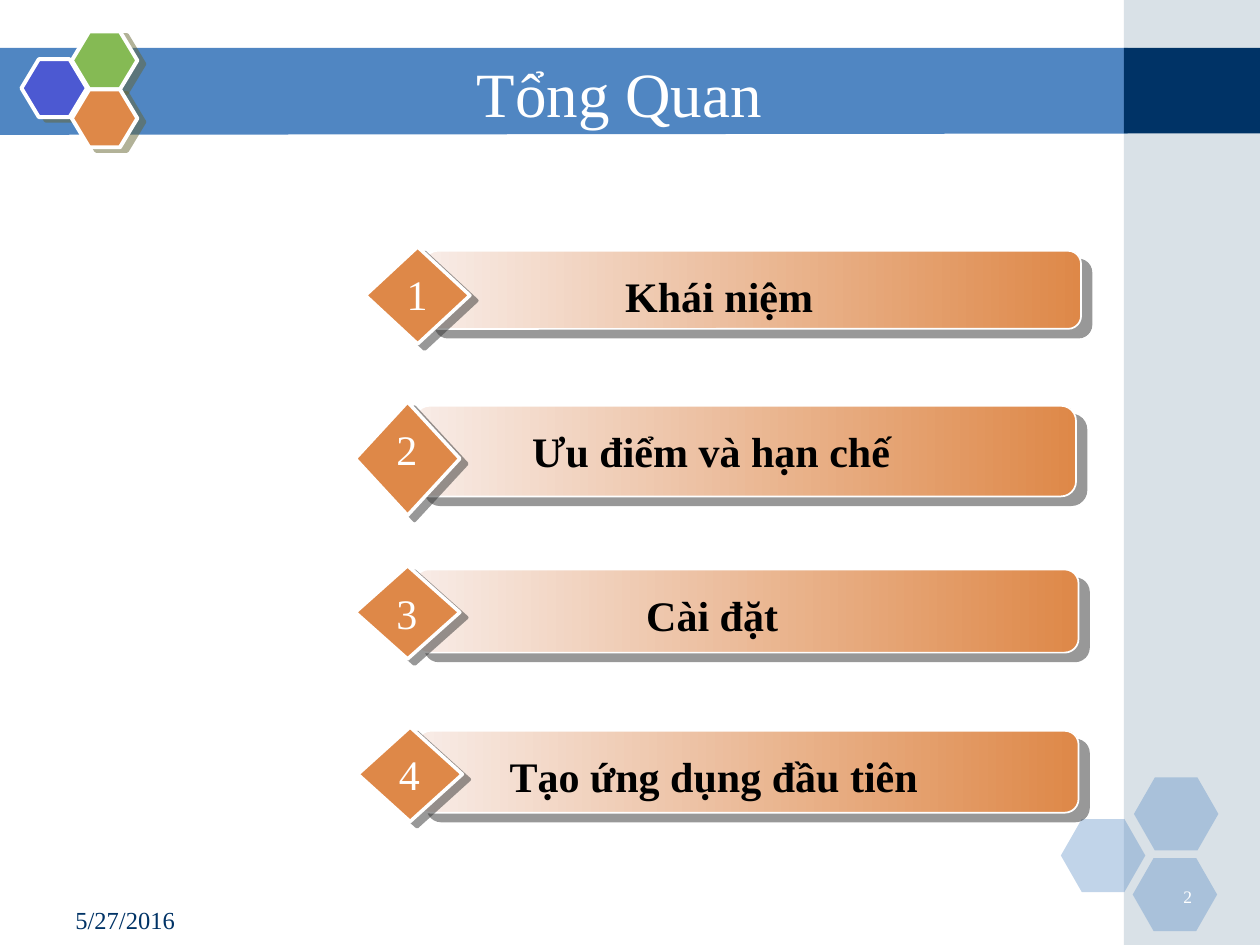
from lxml.etree import SubElement
from pptx import Presentation
from pptx.dml.color import RGBColor
from pptx.enum.shapes import MSO_SHAPE
from pptx.enum.text import MSO_ANCHOR, PP_ALIGN
from pptx.oxml.ns import qn
from pptx.util import Inches, Pt

FONT = "Times New Roman"
BLUE, NAVY, ORANGE, WHITE = "5086C2", "003366", "DE8848", "FFFFFF"


def colour(value):
    return RGBColor.from_string(value)


def add_shadow(shape, value, distance, angle):
    """Give a shape a hard, half-transparent shadow."""
    effects = shape._element.spPr.find(qn("a:effectLst"))
    shadow = SubElement(effects, qn("a:outerShdw"), blurRad="0",
                        dist=str(Pt(distance)), dir=str(angle * 60000),
                        algn="ctr", rotWithShape="0")
    tint = SubElement(shadow, qn("a:srgbClr"), val=value)
    SubElement(tint, qn("a:alpha"), val="50000")


def add_block(shapes, kind, box, fill, alpha=None, line=None, adjust=None):
    """Add a preset shape; a pair of fills makes a gradient to the right."""
    shape = shapes.add_shape(kind, *map(Inches, box))
    if adjust is not None:
        shape.adjustments[0] = adjust
    if isinstance(fill, tuple):
        shape.fill.gradient()
        shape.fill.gradient_angle = 0
        for stop, value, position in zip(shape.fill.gradient_stops, fill, (0, 1)):
            stop.color.rgb = colour(value)
            stop.position = position
    else:
        shape.fill.solid()
        shape.fill.fore_color.rgb = colour(fill)
    if alpha is not None:
        tint = shape._element.spPr.find(qn("a:solidFill"))[0]
        SubElement(tint, qn("a:alpha"), val=str(alpha * 1000))
    if line:
        shape.line.color.rgb = colour(WHITE)
        shape.line.width = Pt(line)
    else:
        shape.line.fill.background()
    shape.shadow.inherit = False
    return shape


def write(frame, text, size, value, align, bold=False):
    frame.word_wrap = True
    para = frame.paragraphs[0]
    para.text = text
    para.alignment = align
    para.font.name = FONT
    para.font.size = Pt(size)
    para.font.bold = bold
    para.font.color.rgb = colour(value)


def add_text(shapes, box, *style, **options):
    write(shapes.add_textbox(*map(Inches, box)).text_frame, *style, **options)


def add_header_band(page, left, top, width, height):
    builder = page.shapes.build_freeform(Inches(left), Inches(top))
    right, bottom = left + width, top + height
    builder.add_line_segments([(Inches(x), Inches(y)) for x, y in (
        (right, top), (right, bottom - 0.01), (left, bottom))])
    band = builder.convert_to_shape()
    band.fill.solid()
    band.fill.fore_color.rgb = colour(BLUE)
    band.line.fill.background()
    band.shadow.inherit = False


def add_side_panel(page, left, top, width, height):
    panel = page.shapes.add_group_shape().shapes
    add_block(panel, MSO_SHAPE.RECTANGLE, (left, top, width, height), "A0B5C4", alpha=40)
    add_block(panel, MSO_SHAPE.RECTANGLE, (left, top + 0.38, width, 0.68), NAVY)


def add_pale_hexagons(page, left, top):
    for x, y in ((0, 0.33), (0.58, 0), (0.57, 0.64)):
        add_block(page.shapes, MSO_SHAPE.HEXAGON, (left + x, top + y, 0.67, 0.58),
                  BLUE, alpha=35, adjust=0.286)


def add_bright_hexagons(page, left, top):
    cluster = page.shapes.add_group_shape().shapes
    for x, y, fill in ((0, 0.22, "4C59D2"), (0.4, 0, "85BA54"), (0.4, 0.46, ORANGE)):
        hexagon = add_block(cluster, MSO_SHAPE.HEXAGON, (left + x, top + y, 0.52, 0.46),
                            fill, line=2.25, adjust=0.3)
        add_shadow(hexagon, "666633", 4.5, 27)


def add_title(page, box, text):
    title = page.shapes.title
    title.left, title.top, title.width, title.height = map(Inches, box)
    title.text_frame.vertical_anchor = MSO_ANCHOR.MIDDLE
    write(title.text_frame, text, 36, WHITE, PP_ALIGN.CENTER)
    # Bring the title in front of the band
    title._element.getparent().append(title._element)


def add_agenda_row(page, box, diamond_height, number, label):
    left, top, width, height = box
    row = page.shapes.add_group_shape().shapes
    bar = add_block(row, MSO_SHAPE.ROUNDED_RECTANGLE, box, ("F8ECE7", ORANGE),
                    line=1, adjust=0.167)
    add_shadow(bar, "333333", 7.8, 40)
    diamond = add_block(row, MSO_SHAPE.DIAMOND,
                        (left - 0.47, top - 0.03, 0.83, diamond_height), ORANGE, line=2)
    add_shadow(diamond, "333333", 5, 37)
    add_text(row, (left + 0.28, top + 0.11, width * 0.79, 0.5),
             label, 24, "000000", PP_ALIGN.CENTER, bold=True)
    add_text(row, (left - 0.51, top + 0.09, 0.9, 0.5),
             str(number), 24, WHITE, PP_ALIGN.CENTER)


def main():
    deck = Presentation()
    deck.slide_width, deck.slide_height = Inches(10), Inches(7.5)
    page = deck.slides.add_slide(deck.slide_layouts[5])

    # Background and decoration
    add_header_band(page, -0.01, 0.38, 8.96, 0.69)
    add_side_panel(page, 8.92, 0, 1.08, 7.5)
    add_pale_hexagons(page, 8.42, 6.17)
    add_bright_hexagons(page, 0.17, 0.25)
    add_title(page, (1.25, 0.42, 7.33, 0.62), "Tổng Quan")

    # Agenda: bar box, diamond height, label
    rows = (
        ((3.37, 1.99, 5.21, 0.62), 0.77, "Khái niệm"),
        ((3.29, 3.22, 5.25, 0.72), 0.9, "Ưu điểm và hạn chế"),
        ((3.29, 4.52, 5.27, 0.66), 0.74, "Cài đặt"),
        ((3.31, 5.8, 5.25, 0.65), 0.75, "Tạo ứng dụng đầu tiên"),
    )
    for number, (box, diamond_height, label) in enumerate(rows, 1):
        add_agenda_row(page, box, diamond_height, number, label)

    # Date and page number
    add_text(page.shapes, (0.5, 7.13, 2.33, 0.27), "5/27/2016", 14, NAVY, PP_ALIGN.LEFT)
    add_text(page.shapes, (9.06, 6.98, 0.5, 0.25), "2", 10, WHITE, PP_ALIGN.RIGHT)
    deck.save("out.pptx")


if __name__ == "__main__":
    main()
